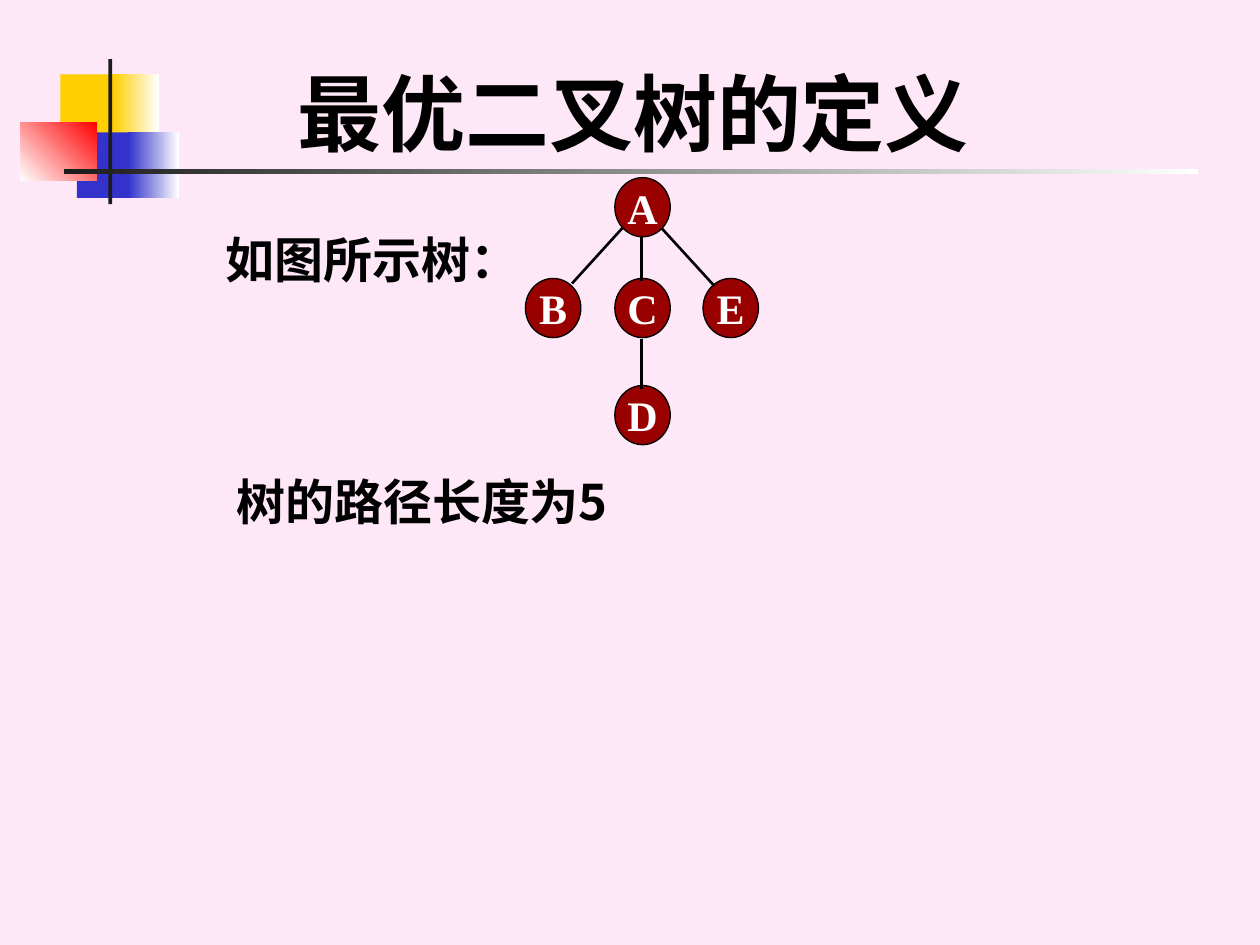
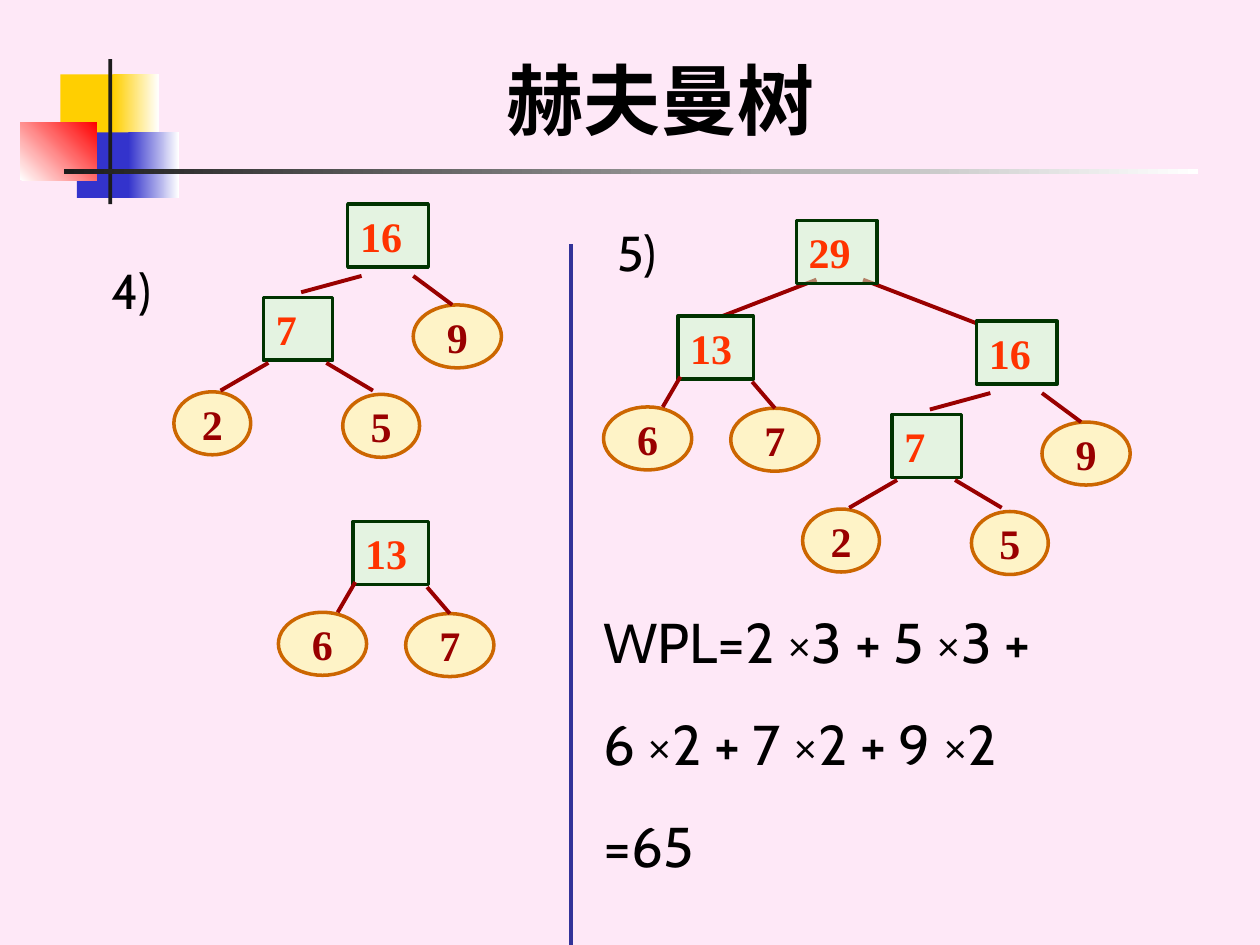
from lxml.etree import SubElement
from pptx import Presentation
from pptx.dml.color import RGBColor
from pptx.enum.shapes import MSO_CONNECTOR, MSO_SHAPE
from pptx.enum.text import MSO_ANCHOR as Anchor, MSO_AUTO_SIZE as AutoSize, PP_ALIGN as Align
from pptx.oxml.ns import qn
from pptx.util import Inches, Pt

BACKGROUND, BLACK, WHITE = "FEE8F7", "000000", "FFFFFF"
YELLOW, BLUE, RED, CHARCOAL = "FFCF01", "3333CC", "FF0000", "1C1C1C"
DARK_RED, DIVIDER_BLUE = "990000", "333399"
SERIF, SANS, CHINESE = "Times New Roman", "Cabin", "Noto Sans CJK SC"

ORNAMENT = [
    ((0.48, 0.59, 0.48, 0.52), [YELLOW], 0),
    ((0.9, 0.59, 0.36, 0.52), [YELLOW, WHITE], 0),
    ((0.61, 1.05, 0.46, 0.52), [BLUE], 0),
    ((1.02, 1.05, 0.4, 0.52), [BLUE, WHITE], 0),
    ((0.16, 0.97, 0.61, 0.46), [WHITE, RED], 45),
    ((0.86, 0.47, 0.03, 1.15), [CHARCOAL], 0),
    ((0.51, 1.34, 9, 0.04), [CHARCOAL, WHITE], 0),
]


def color(code):
    """Turn a hex string into a colour."""
    return RGBColor.from_string(code)


def fill_solid(fill, code, alpha=100):
    """Fill with one colour, see-through when alpha is below 100."""
    fill.solid()
    fill.fore_color.rgb = color(code)
    if alpha < 100:
        for tone in fill._xPr.iter(qn("a:srgbClr")):
            SubElement(tone, qn("a:alpha"), val=str(alpha * 1000))


def write(shape, lines, font, size, code=BLACK, bold=False, align=Align.LEFT,
          anchor=Anchor.TOP, wrap=True, before=0):
    """Put formatted paragraphs into a shape."""
    frame = shape.text_frame
    frame.auto_size = AutoSize.NONE
    frame.word_wrap = wrap
    frame.vertical_anchor = anchor
    frame.text = "\n".join(lines)
    for para in frame.paragraphs:
        para.alignment = align
        para.space_before = Pt(before)
        para.font.name, para.font.size, para.font.bold = font, Pt(size), bold
        para.font.color.rgb = color(code)


def add_label(page, box, lines, font, size, **style):
    """Add a text box."""
    write(page.shapes.add_textbox(*map(Inches, box)), lines, font, size, **style)


def add_line(page, start, end, code=DARK_RED, width=2.25):
    """Add a straight line between two points."""
    line = page.shapes.add_connector(MSO_CONNECTOR.STRAIGHT, *map(Inches, start + end))
    line.line.color.rgb = color(code)
    line.line.width = Pt(width)
    SubElement(line._element.spPr, qn("a:effectLst"))


def add_ornament(page):
    """Draw the coloured squares and the rules beside the title."""
    for box, tones, angle in ORNAMENT:
        block = page.shapes.add_shape(MSO_SHAPE.RECTANGLE, *map(Inches, box))
        block.shadow.inherit = False
        block.line.fill.background()
        if len(tones) == 1:
            fill_solid(block.fill, tones[0])
            continue
        block.fill.gradient()
        block.fill.gradient_angle = angle
        for stop, tone, position in zip(block.fill.gradient_stops, tones, (0, 1)):
            stop.color.rgb = color(tone)
            stop.position = position


def add_page(deck, title, box, font, size):
    """Add a page with ornament and title."""
    page = deck.slides.add_slide(deck.slide_layouts[5])
    add_ornament(page)
    heading = page.shapes.title
    heading.left, heading.top, heading.width, heading.height = map(Inches, box)
    write(heading, [title], font, size, bold=True, align=Align.CENTER, anchor=Anchor.MIDDLE)
    return page


def add_node(page, kind, box, text, fill, alpha, outline, width, **style):
    """Add one tree node."""
    node = page.shapes.add_shape(kind, *map(Inches, box))
    node.shadow.inherit = False
    fill_solid(node.fill, fill, alpha)
    node.line.color.rgb = color(outline)
    node.line.width = Pt(width)
    write(node, [text], SERIF, 24, bold=True, **style)


def add_letter(page, x, y, text):
    """Add a dark red node holding a letter."""
    add_node(page, MSO_SHAPE.OVAL, (x, y, 0.44, 0.47), text, DARK_RED, 100, BLACK, 0.75,
             code=WHITE, align=Align.CENTER, anchor=Anchor.MIDDLE, wrap=False)


def add_leaf(page, x, y, text, width=0.7):
    """Add a leaf holding a weight."""
    add_node(page, MSO_SHAPE.OVAL, (x, y, width, 0.5), text, "FFFF99", 50, "CC6600", 2,
             code=DARK_RED, align=Align.CENTER, anchor=Anchor.MIDDLE, wrap=False)


def add_sum(page, x, y, text, width=0.64):
    """Add an inner node holding a sum of weights."""
    add_node(page, MSO_SHAPE.RECTANGLE, (x, y, width, 0.5), text, "CCFFCC", 50, "003300", 2,
             code="FF3300")


def add_edges(page, x, y, edges, **style):
    """Draw edges given relative to a corner."""
    for x1, y1, x2, y2 in edges:
        add_line(page, (x + x1, y + y1), (x + x2, y + y2), **style)


def add_letter_tree(page, x, y):
    """Draw the tree of letters A to E."""
    for dx, dy, text in [(0.71, 0, "A"), (0.71, 0.8, "C"), (0, 0.8, "B"),
                         (1.41, 0.8, "E"), (0.71, 1.65, "D")]:
        add_letter(page, x + dx, y + dy, text)
    add_edges(page, x, y, [(0.92, 0.46, 0.92, 0.82), (0.92, 1.28, 0.92, 1.68),
                           (0.77, 0.4, 0.37, 0.84), (1.08, 0.4, 1.5, 0.86)],
              code=BLACK, width=1.5)


def add_tree_13(page, x, y):
    """Draw the tree joining 6 and 7."""
    add_leaf(page, x, y + 0.72, "6")
    add_leaf(page, x + 1.01, y + 0.73, "7")
    add_sum(page, x + 0.59, y, "13", 0.6)
    add_edges(page, x, y, [(0.61, 0.48, 0.47, 0.72), (1.18, 0.52, 1.36, 0.73)])


def add_tree_16(page, x, y):
    """Draw the tree joining 2, 5 and 9."""
    add_leaf(page, x + 1.9, y + 0.8, "9")
    add_leaf(page, x + 1.34, y + 1.51, "5", 0.61)
    add_leaf(page, x, y + 1.49, "2", 0.61)
    add_sum(page, x + 0.71, y + 0.74, "7", 0.55)
    add_sum(page, x + 1.38, y, "16")
    add_edges(page, x, y, [(0.75, 1.26, 0.37, 1.48), (1.21, 1.26, 1.58, 1.48),
                           (1.9, 0.57, 2.21, 0.8), (1.49, 0.57, 1.01, 0.7)])


def add_tree_29(page, x, y):
    """Draw the complete tree, joining 13 and 16."""
    add_edges(page, x, y, [(1.69, 0.47, 0.94, 0.76), (2.06, 0.47, 2.97, 0.82)])
    add_tree_16(page, x + 1.58, y + 0.8)
    add_tree_13(page, x, y + 0.76)
    add_sum(page, x + 1.53, y, "29")


def build_definition(deck):
    """Build the page that defines the optimal binary tree."""
    page = add_page(deck, "最优二叉树的定义", (0.61, 0.44, 8.83, 0.9), SERIF, 48)
    add_letter_tree(page, 4.17, 1.41)
    add_label(page, (1.69, 1.77, 2.53, 0.57), ["如图所示树："], SERIF, 28, bold=True,
              align=Align.CENTER, anchor=Anchor.MIDDLE, wrap=False)
    add_label(page, (1.64, 3.69, 3.42, 0.57), ["树的路径长度为5"], CHINESE, 28, bold=True,
              align=Align.CENTER, before=17.5)


def build_huffman(deck):
    """Build the page with the last two steps of the Huffman tree."""
    page = add_page(deck, "赫夫曼树", (0.83, 0.36, 8.83, 0.84), SANS, 44)
    for x, y, step in [(0.79, 2.02, "4)"), (4.8, 1.72, "5)")]:
        add_label(page, (x, y, 0.79, 0.57), [step], SANS, 28, before=17.5)
    add_line(page, (4.53, 1.94), (4.53, 7.5), DIVIDER_BLUE)
    add_tree_16(page, 1.38, 1.62)
    add_tree_13(page, 2.21, 4.14)
    add_tree_29(page, 4.79, 1.75)
    add_label(page, (4.69, 4.77, 4.8, 2.26),
              ["WPL=2 ×3 + 5 ×3 +", "6 ×2 + 7 ×2 + 9 ×2", "=65"], SANS, 32, before=20)


def main():
    """Build and save the deck."""
    deck = Presentation()
    deck.slide_width, deck.slide_height = Inches(10), Inches(7.5)
    fill_solid(deck.slide_master.background.fill, BACKGROUND)
    build_definition(deck)
    build_huffman(deck)
    deck.save("out.pptx")


if __name__ == "__main__":
    main()
